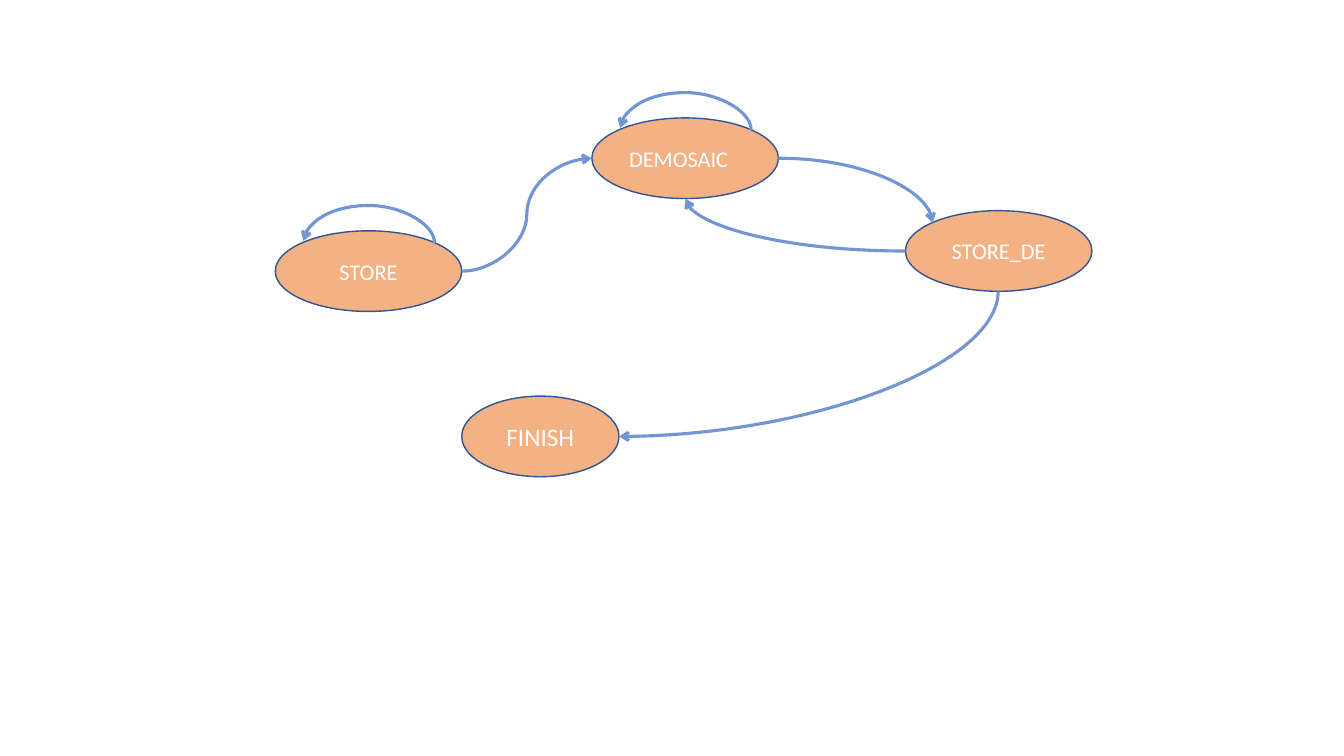
from dataclasses import dataclass

from lxml import etree
from pptx import Presentation
from pptx import util as u
from pptx.dml.color import RGBColor
from pptx.enum import shapes, text
from pptx.oxml.ns import qn


@dataclass(frozen=True)
class Theme:
    font: str = "Calibri"
    fill: RGBColor = RGBColor(0xF4, 0xB1, 0x83)
    outline: RGBColor = RGBColor(0x32, 0x54, 0x91)
    arrow: RGBColor = RGBColor(0x73, 0x95, 0xD3)
    label: RGBColor = RGBColor(0xFF, 0xFF, 0xFF)
    outline_width: float = 1
    arrow_width: float = 2.25
    state_size: int = 16
    final_size: int = 18


THEME = Theme()
STATE_HEIGHT = 0.8


@dataclass(frozen=True)
class State:
    label: str
    left: float
    top: float
    width: float = 1.85
    size: int = THEME.state_size
    align: text.PP_ALIGN = text.PP_ALIGN.CENTER


@dataclass(frozen=True)
class Transition:
    begin: tuple[float, float]
    end: tuple[float, float]
    rotation: int = 0
    preset: str = "curvedConnector2"
    bend: float | None = None


def self_loop(state: State) -> Transition:
    return Transition(
        (state.left + 1.58, state.top + 0.12),
        (state.left + 0.28, state.top + 0.1),
        270, "curvedConnector3", 18.5,
    )


def draw_state(s, state: State) -> None:
    sp = s.shapes.add_shape(
        shapes.MSO_SHAPE.OVAL, u.Inches(state.left), u.Inches(state.top),
        u.Inches(state.width), u.Inches(STATE_HEIGHT),
    )
    sp.shadow.inherit = False
    sp.fill.solid()
    sp.fill.fore_color.rgb = THEME.fill
    sp.line.color.rgb = THEME.outline
    sp.line.width = u.Pt(THEME.outline_width)
    tf = sp.text_frame
    tf.vertical_anchor = text.MSO_ANCHOR.MIDDLE
    p = tf.paragraphs[0]
    p.text = state.label
    p.alignment = state.align
    p.font.name = THEME.font
    p.font.size = u.Pt(state.size)
    p.font.color.rgb = THEME.label


def draw_transition(s, transition: Transition) -> None:
    (x1, y1), (x2, y2) = transition.begin, transition.end
    dx, dy = x2 - x1, y2 - y1
    across, down = {
        0: (dx, dy), 90: (dy, -dx), 180: (-dx, -dy), 270: (-dy, dx),
    }[transition.rotation]
    width, height = abs(across), abs(down)
    left, top = (x1 + x2 - width) / 2, (y1 + y2 - height) / 2
    cxn = s.shapes.add_connector(
        shapes.MSO_CONNECTOR.CURVE, u.Inches(left), u.Inches(top),
        u.Inches(left + width), u.Inches(top + height),
    )
    cxn.line.color.rgb = THEME.arrow
    cxn.line.width = u.Pt(THEME.arrow_width)
    spPr = cxn._element.spPr
    xfrm = spPr.find(qn("a:xfrm"))
    xfrm.set("rot", str(transition.rotation * 60000))
    if down < 0:
        xfrm.set("flipV", "1")
    geom = spPr.find(qn("a:prstGeom"))
    geom.set("prst", transition.preset)
    if transition.bend is not None:
        guide = etree.SubElement(geom.find(qn("a:avLst")), qn("a:gd"))
        guide.set("name", "adj1")
        guide.set("fmla", f"val {round(transition.bend * 100000)}")
    etree.SubElement(spPr.find(qn("a:ln")), qn("a:tailEnd")).set("type", "arrow")
    etree.SubElement(spPr, qn("a:effectLst"))


def main() -> None:
    prs = Presentation()
    prs.slide_width, prs.slide_height = u.Inches(13.33), u.Inches(7.5)
    s = prs.slides.add_slide(prs.slide_layouts[6])

    store = State("STORE", 2.73, 2.29)
    demosaic = State("DEMOSAIC", 5.87, 1.17, align=text.PP_ALIGN.LEFT)
    store_de = State("STORE_DE", 8.98, 2.09)
    finish = State("FINISH", 4.58, 3.93, 1.56, THEME.final_size)
    for state in (store, demosaic, store_de, finish):
        draw_state(s, state)

    transitions = (
        self_loop(store),
        self_loop(demosaic),
        Transition((4.58, 2.69), (5.87, 1.57), 0, "curvedConnector3", 0.5),
        Transition((7.72, 1.57), (9.25, 2.21)),
        Transition((8.98, 2.49), (6.8, 1.97), 180),
        Transition((9.9, 2.89), (6.14, 4.33), 90),
    )
    for transition in transitions:
        draw_transition(s, transition)

    prs.save("out.pptx")


if __name__ == "__main__":
    main()
